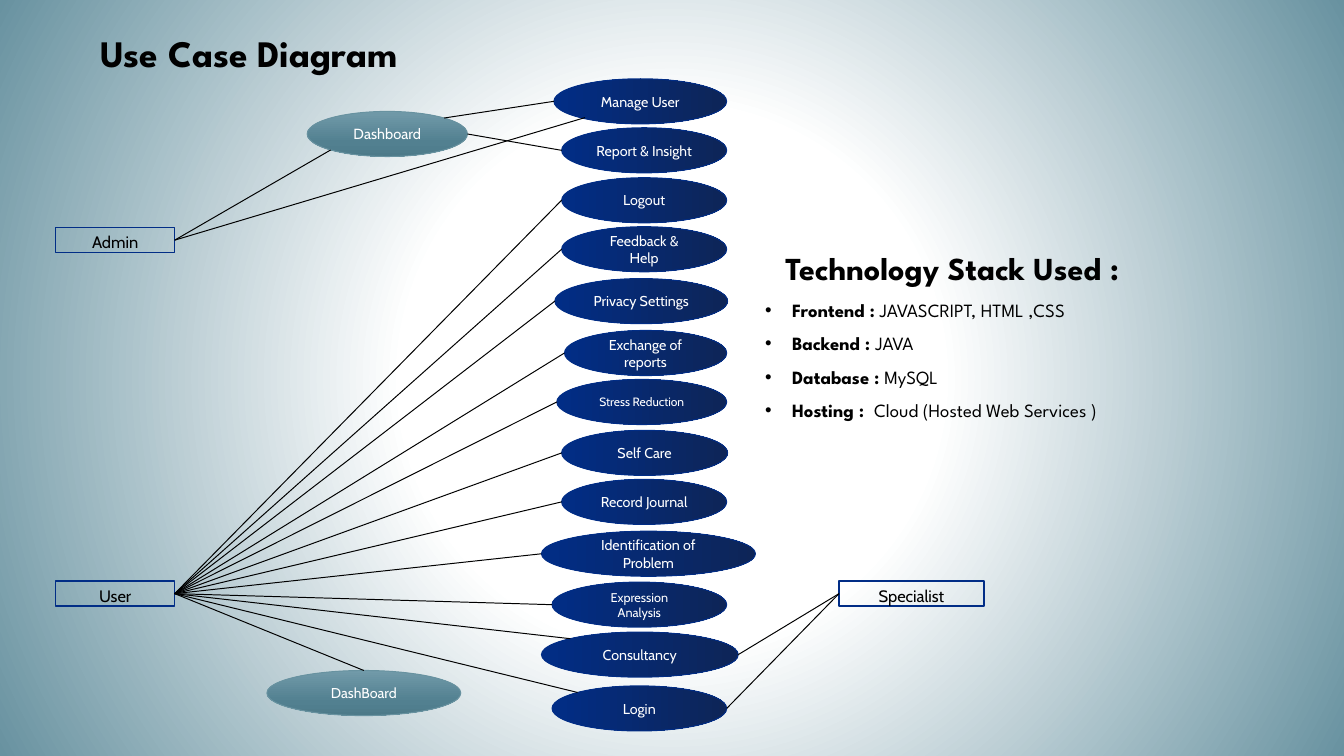
import math

from lxml import etree
from pptx import Presentation
from pptx import util as u
from pptx.dml.color import RGBColor
from pptx.enum import shapes, text
from pptx.oxml.ns import qn

BLACK = RGBColor(0x00, 0x00, 0x00)
WHITE = RGBColor(0xFF, 0xFF, 0xFF)
NAVY = RGBColor(0x01, 0x2D, 0x86)
DARK_NAVY = RGBColor(0x0E, 0x25, 0x57)
TEAL = RGBColor(0x68, 0x92, 0xA0)
TEAL_LIGHT = RGBColor(0x71, 0x9A, 0xA9)
TEAL_MID = RGBColor(0x52, 0x80, 0x90)
TEAL_DARK = RGBColor(0x4D, 0x7A, 0x89)

HEAD_FONT, LABEL_FONT = "League Spartan", "Cabin"
NAVY_STOPS = [(0, NAVY), (100, DARK_NAVY)]
TEAL_STOPS = [(0, TEAL_LIGHT), (69, TEAL_MID), (100, TEAL_DARK)]

# Points on an ellipse, as fractions of its half width and half height
D = math.sqrt(0.5)
LEFT, RIGHT, TOP = (-1, 0), (1, 0), (0, -1)
TOP_LEFT, TOP_RIGHT, BOTTOM_LEFT = (-D, -D), (D, -D), (-D, D)
LOWER_LEFT = (-0.64, 0.72)

# Actors: left, top, width
ACTORS = {"Admin": (0.58, 2.37, 1.24), "User": (0.58, 6.05, 1.24),
          "Specialist": (8.74, 6.05, 1.51)}

# Use cases: left, top, width, text size
USE_CASES = {
    "Manage User": (5.77, 0.82, 1.8, 10.7),
    "Report & Insight": (5.85, 1.33, 1.72, 10.7),
    "Logout": (5.85, 1.85, 1.72, 10.7),
    "Feedback & Help": (5.85, 2.36, 1.72, 10.7),
    "Privacy Settings": (5.78, 2.9, 1.8, 10.7),
    "Exchange of reports": (5.88, 3.44, 1.69, 10.7),
    "Stress Reduction": (5.8, 3.95, 1.77, 9),
    "Self Care": (5.85, 4.48, 1.73, 10.7),
    "Record Journal": (5.85, 4.99, 1.72, 10.7),
    "Identification of Problem": (5.64, 5.53, 2.23, 10.7),
    "Expression\nAnalysis": (5.75, 6.06, 1.82, 9.5),
    "Consultancy": (5.64, 6.58, 2.05, 10.7),
    "Login": (5.75, 7.14, 1.82, 10.7),
}
DASHBOARDS = {"DashBoard": (2.78, 6.98, 2.02, 10.7),
              "Dashboard": (3.2, 1.16, 1.67, 11)}

STACK = [("Frontend :", " JAVASCRIPT, HTML ,CSS"), ("Backend : ", "JAVA"),
         ("Database :", " MySQL"), ("Hosting :  ", "Cloud (Hosted Web Services )")]


def set_stops(grad, stops):
    """Replace the stops of a gradient fill element."""
    gs_lst = grad.find(qn("a:gsLst"))
    for gs in list(gs_lst):
        gs_lst.remove(gs)
    for pos, color in stops:
        gs = etree.SubElement(gs_lst, qn("a:gs"), pos=str(pos * 1000))
        etree.SubElement(gs, qn("a:srgbClr"), val=str(color))


def add_background(s):
    s.background.fill.gradient()
    grad = s.element.find(".//" + qn("a:gradFill"))
    set_stops(grad, [(0, WHITE), (35, WHITE), (100, TEAL)])
    grad.remove(grad.find(qn("a:lin")))
    circle = etree.SubElement(grad, qn("a:path"), path="circle")
    etree.SubElement(circle, qn("a:fillToRect"), l="50000", t="50000", r="50000", b="50000")


def format_run(r, font, size, color, bold=False):
    r.font.name, r.font.size, r.font.bold = font, u.Pt(size), bold
    r.font.color.rgb = color


def add_node(s, kind, label, left, top, width, height, size, color):
    sp = s.shapes.add_shape(kind, u.Inches(left), u.Inches(top),
                            u.Inches(width), u.Inches(height))
    sp.shadow.inherit = False
    tf = sp.text_frame
    tf.word_wrap = True
    tf.text = label
    for p in tf.paragraphs:
        p.alignment = text.PP_ALIGN.CENTER
        format_run(p.runs[0], LABEL_FONT, size, color)
    return sp


def add_actor(s, label, left, top, width):
    sp = add_node(s, shapes.MSO_SHAPE.RECTANGLE, label, left, top, width, 0.26, 12.4, BLACK)
    sp.fill.background()
    sp.line.color.rgb, sp.line.width = NAVY, u.Pt(1)
    sp.text_frame.vertical_anchor = text.MSO_ANCHOR.TOP
    return sp


def add_oval(s, label, left, top, width, size, stops, line, angle):
    sp = add_node(s, shapes.MSO_SHAPE.OVAL, label, left, top, width, 0.47, size, WHITE)
    sp.fill.gradient()
    sp.fill.gradient_angle = angle
    set_stops(sp.element.spPr.find(qn("a:gradFill")), stops)
    sp.line.color.rgb, sp.line.width = line, u.Pt(0.75)
    return sp


def point_on(oval, where):
    return (round(oval.left + oval.width * (1 + where[0]) / 2),
            round(oval.top + oval.height * (1 + where[1]) / 2))


def add_link(s, begin, end, actor=None, site=None):
    cx = s.shapes.add_connector(shapes.MSO_CONNECTOR.STRAIGHT, *begin, *end)
    cx.line.color.rgb, cx.line.width = BLACK, u.Pt(0.75)
    etree.SubElement(cx.element.spPr, qn("a:effectLst"))
    if actor is not None:
        cx.begin_connect(actor, site)


def link_actor(s, actor, site, oval, where):
    add_link(s, (actor.left, actor.top), point_on(oval, where), actor, site)


def place(sp, left, top, width, height):
    sp.left, sp.top = u.Inches(left), u.Inches(top)
    sp.width, sp.height = u.Inches(width), u.Inches(height)
    tf = sp.text_frame
    tf.word_wrap = True
    tf.auto_size = text.MSO_AUTO_SIZE.NONE
    tf.vertical_anchor = text.MSO_ANCHOR.TOP
    return tf


def add_title(s):
    tf = place(s.shapes.title, -0.18, 0.26, 5.54, 0.57)
    tf.text = "Use Case Diagram"
    tf.paragraphs[0].alignment = text.PP_ALIGN.CENTER
    format_run(tf.paragraphs[0].runs[0], HEAD_FONT, 28, BLACK, True)


def format_item(p, margin, indent, bullet):
    pPr = p._p.get_or_add_pPr()
    pPr.set("marL", str(u.Inches(margin)))
    pPr.set("indent", str(u.Inches(indent)))
    if bullet:
        etree.SubElement(pPr, qn("a:buChar"), char="•")
    else:
        etree.SubElement(pPr, qn("a:buNone"))
    p.line_spacing = 1.5
    p.space_before = u.Pt(0)


def add_stack(s):
    tf = place(s.placeholders[1], 7.87, 2.34, 5.79, 2.11)
    tf.text = "Technology Stack Used :"
    format_item(tf.paragraphs[0], 0.21, 0, False)
    format_run(tf.paragraphs[0].runs[0], HEAD_FONT, 24, BLACK, True)
    for name, value in STACK:
        p = tf.add_paragraph()
        format_item(p, 0.28, -0.28, True)
        for words, bold in ((name, True), (value, False)):
            r = p.add_run()
            r.text = words
            format_run(r, HEAD_FONT, 14, BLACK, bold)


def main():
    prs = Presentation()
    prs.slide_width, prs.slide_height = u.Inches(14), u.Inches(7.87)
    s = prs.slides.add_slide(prs.slide_layouts[1])
    add_background(s)
    add_title(s)

    # Actors and use cases
    actors = {name: add_actor(s, name, *box) for name, box in ACTORS.items()}
    ovals = {name: add_oval(s, name, *box, NAVY_STOPS, NAVY, 0)
             for name, box in USE_CASES.items()}
    ovals.update({name: add_oval(s, name, *box, TEAL_STOPS, TEAL, 270)
                  for name, box in DASHBOARDS.items()})

    # Admin and its dashboard
    dashboard, manage = ovals["Dashboard"], ovals["Manage User"]
    link_actor(s, actors["Admin"], 3, dashboard, BOTTOM_LEFT)
    link_actor(s, actors["Admin"], 3, manage, LOWER_LEFT)
    add_link(s, point_on(dashboard, TOP_RIGHT), point_on(manage, LEFT))
    add_link(s, point_on(dashboard, RIGHT), point_on(ovals["Report & Insight"], LEFT))

    # User to every use case from Logout down
    ends = {"Consultancy": TOP_LEFT, "Login": TOP_LEFT, "DashBoard": TOP}
    for name in list(USE_CASES)[2:] + ["DashBoard"]:
        link_actor(s, actors["User"], 3, ovals[name], ends.get(name, LEFT))

    # Specialist
    for name in ("Consultancy", "Login"):
        link_actor(s, actors["Specialist"], 1, ovals[name], RIGHT)

    add_stack(s)
    prs.save("out.pptx")


if __name__ == "__main__":
    main()
